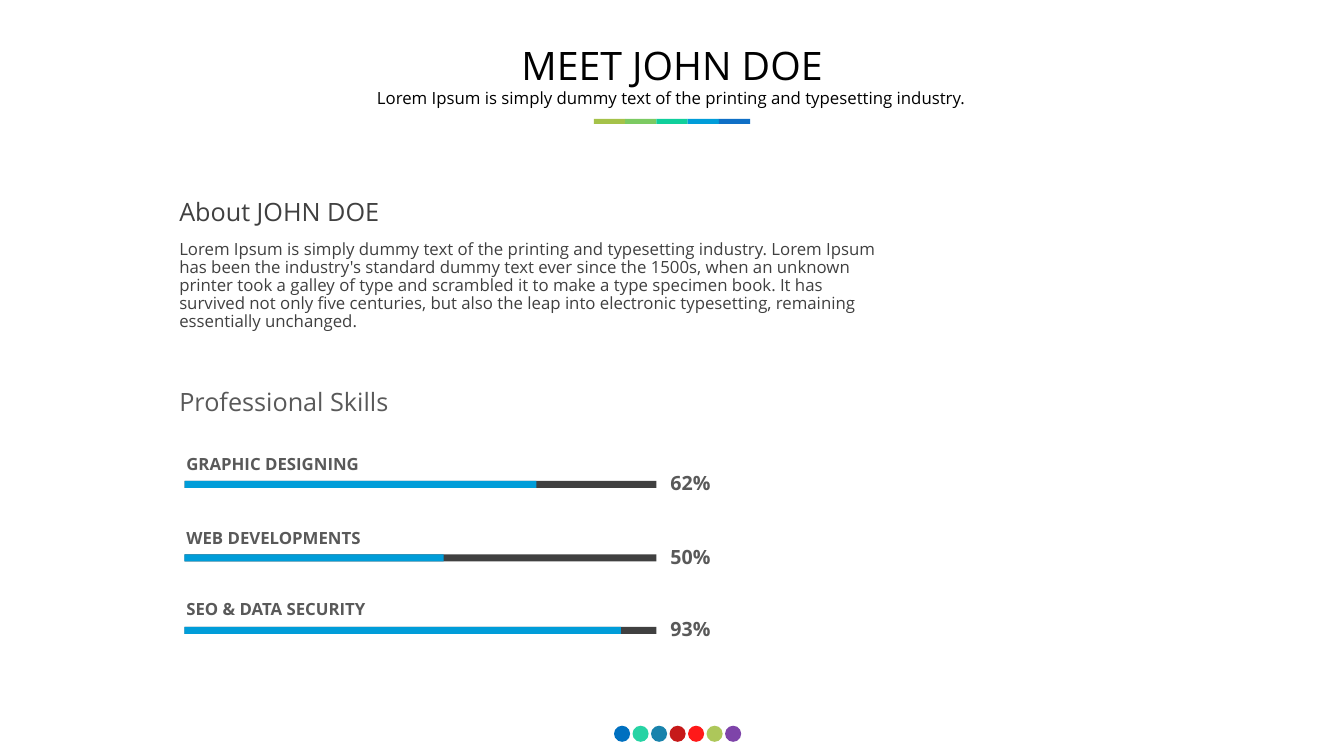
"""Builds a profile slide with a biography and three skill bars."""
from lxml import etree
from pptx import Presentation
from pptx.dml.color import RGBColor
from pptx.enum.shapes import MSO_SHAPE
from pptx.enum.text import MSO_ANCHOR, PP_ALIGN
from pptx.oxml.ns import qn
from pptx.util import Inches, Pt

RECTANGLE, OVAL = MSO_SHAPE.RECTANGLE, MSO_SHAPE.OVAL
LEFT, CENTER = PP_ALIGN.LEFT, PP_ALIGN.CENTER
TOP, MIDDLE = MSO_ANCHOR.TOP, MSO_ANCHOR.MIDDLE

FONT = "Open Sans"
BLACK, DARK, GRAY, BLUE = "000000", "404040", "595959", "009DD9"

TITLE = "MEET JOHN DOE"
SUBTITLE = "Lorem Ipsum is simply dummy text of the printing and typesetting industry."
ABOUT_HEADING = "About JOHN DOE"
ABOUT_TEXT = (
    "Lorem Ipsum is simply dummy text of the printing and typesetting industry. "
    "Lorem Ipsum has been the industry's standard dummy text ever since the 1500s, "
    "when an unknown printer took a galley of type and scrambled it to make a type "
    "specimen book. It has survived not only five centuries, but also the leap into "
    "electronic typesetting, remaining essentially unchanged."
)
SKILLS_HEADING = "Professional Skills"
# name, percentage, label top, bar top, filled length
SKILLS = [
    ("GRAPHIC DESIGNING", "62%", 4.47, 4.77, 3.49),
    ("WEB DEVELOPMENTS", "50%", 5.21, 5.5, 2.57),
    ("SEO & DATA SECURITY", "93%", 5.91, 6.22, 4.33),
]
STRIPE_COLORS = ["A5C249", "7CCA62", "10CF9B", BLUE, "0F6FC6"]
DOTS = [("0070C0", 100), ("10CF9B", 90), ("0076A3", 90), ("C00000", 90),
        ("FF0000", 90), ("A5C249", 90), ("7030A0", 90)]

BAR_LEFT, BAR_LENGTH, BAR_HEIGHT = 1.83, 4.68, 0.07
STRIPE_LEFT, STRIPE_WIDTH = 5.89, 0.31
DOT_LEFT, DOT_STEP, DOT_SIZE = 6.09, 0.18, 0.16


def color(value):
    return RGBColor.from_string(value)


def add_block(page, kind, left, top, width, height, fill, opacity=100):
    block = page.shapes.add_shape(
        kind, Inches(left), Inches(top), Inches(width), Inches(height))
    block.shadow.inherit = False
    block.line.fill.background()
    block.fill.solid()
    block.fill.fore_color.rgb = color(fill)
    if opacity < 100:
        tint = next(block.element.iter(qn("a:srgbClr")))
        etree.SubElement(tint, qn("a:alpha"), val=str(opacity * 1000))


def add_text(page, left, top, width, height, lines, align=LEFT, anchor=TOP,
             spacing=0.9, margins=True):
    box = page.shapes.add_textbox(
        Inches(left), Inches(top), Inches(width), Inches(height))
    frame = box.text_frame
    frame.word_wrap = True
    frame.vertical_anchor = anchor
    if not margins:
        frame.margin_left = frame.margin_right = 0
        frame.margin_top = frame.margin_bottom = 0
    for index, (text, size, ink, bold) in enumerate(lines):
        para = frame.add_paragraph() if index else frame.paragraphs[0]
        para.text = text
        para.alignment = align
        para.line_spacing = spacing
        para.space_before = Pt(10 if index else 0)
        para.font.name = FONT
        para.font.size = Pt(size)
        para.font.bold = bold
        para.font.color.rgb = color(ink)


def main():
    deck = Presentation()
    deck.slide_width, deck.slide_height = Inches(13.33), Inches(7.5)
    page = deck.slides.add_slide(deck.slide_layouts[6])

    for index, (fill, opacity) in enumerate(DOTS):
        add_block(page, OVAL, DOT_LEFT + index * DOT_STEP * 1.02, 7.2,
                  DOT_SIZE, DOT_SIZE, fill, opacity)

    add_text(page, 2.71, 0.4, 7.91, 0.49, [(TITLE, 28, BLACK, False)],
             CENTER, MIDDLE, 1.0)
    add_text(page, 3.29, 0.82, 6.74, 0.3, [(SUBTITLE, 12, BLACK, False)],
             CENTER, spacing=1.0)
    for index, fill in enumerate(STRIPE_COLORS):
        add_block(page, RECTANGLE, STRIPE_LEFT + index * STRIPE_WIDTH, 1.18,
                  STRIPE_WIDTH, 0.05, fill)

    add_text(page, 1.68, 1.93, 7.14, 1.43,
             [(ABOUT_HEADING, 18, DARK, False), (ABOUT_TEXT, 12, DARK, False)])
    add_text(page, 1.68, 3.82, 2.28, 0.36, [(SKILLS_HEADING, 18, GRAY, False)])

    for name, percent, label_top, bar_top, filled in SKILLS:
        add_text(page, 1.75, label_top, 2.64, 0.3, [(name, 12, GRAY, True)])
        for length, fill in ((BAR_LENGTH, DARK), (filled, BLUE)):
            add_block(page, RECTANGLE, BAR_LEFT, bar_top, length, BAR_HEIGHT, fill)
        add_text(page, 6.65, bar_top - 0.07, 0.69, 0.33,
                 [(percent, 14, GRAY, True)], margins=False)

    deck.save("out.pptx")


if __name__ == "__main__":
    main()
